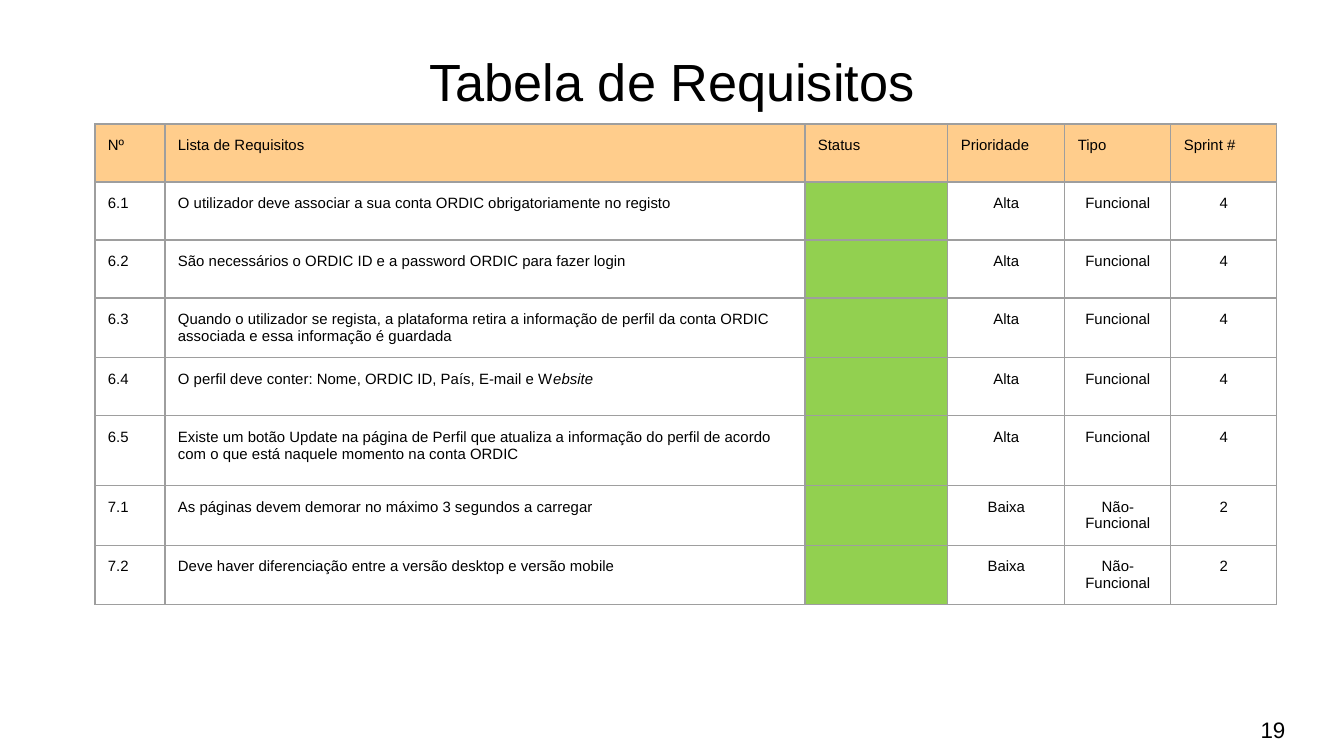
"""Build the requirements table slide."""
from typing import NamedTuple

from lxml.etree import SubElement
from pptx import Presentation
from pptx.dml.color import RGBColor
from pptx.enum.text import MSO_ANCHOR as Anchor, PP_ALIGN as Align
from pptx.oxml.ns import qn
from pptx.util import Emu, Pt

PX_PER_INCH = 134.4
FONT = "Arial"
BLACK, WHITE = "000000", "FFFFFF"
ORANGE, GREEN, GRAY = "FFCD8C", "92D050", "9E9E9E"
HEADERS = ("Nº", "Lista de Requisitos", "Status", "Prioridade", "Tipo", "Sprint #")
COL_WIDTHS = (70, 640, 143, 117, 106, 106)
ROW_HEIGHT = 58
STATUS_COL = 2


class Requirement(NamedTuple):
    """One row of the table."""
    number: str
    text: str
    priority: str = "Alta"
    kind: str = "Funcional"
    sprint: str = "4"
    italic_end: str = ""
    height: int = ROW_HEIGHT


REQUIREMENTS = (
    Requirement("6.1", "O utilizador deve associar a sua conta ORDIC obrigatoriamente no registo"),
    Requirement("6.2", "São necessários o ORDIC ID e a password ORDIC para fazer login"),
    Requirement("6.3", "Quando o utilizador se regista, a plataforma retira a informação de perfil "
                       "da conta ORDIC associada e essa informação é guardada"),
    Requirement("6.4", "O perfil deve conter: Nome, ORDIC ID, País, E-mail e W", italic_end="ebsite"),
    Requirement("6.5", "Existe um botão Update na página de Perfil que atualiza a informação do perfil "
                       "de acordo com o que está naquele momento na conta ORDIC", height=70),
    Requirement("7.1", "As páginas devem demorar no máximo 3 segundos a carregar",
                "Baixa", "Não-Funcional", "2"),
    Requirement("7.2", "Deve haver diferenciação entre a versão desktop e versão mobile",
                "Baixa", "Não-Funcional", "2"),
)


def px(n: int) -> Emu:
    """Turn pixels into EMU."""
    return Emu(round(n * 914400 / PX_PER_INCH))


def rgb(color: str) -> RGBColor:
    """Turn a hex string into a colour."""
    return RGBColor.from_string(color)


def write(tf, text: str, size: int, align=Align.CENTER):
    """Write one formatted paragraph and return it."""
    p = tf.paragraphs[0]
    if text:
        p.add_run().text = text
    p.alignment = align
    p.font.size = Pt(size)
    p.font.name = FONT
    p.font.bold = False
    p.font.color.rgb = rgb(BLACK)
    return p


def add_borders(cell) -> None:
    """Draw a thin line on each side of a cell."""
    props = cell._tc.get_or_add_tcPr()
    for i, side in enumerate(("lnL", "lnR", "lnT", "lnB")):
        line = SubElement(props, qn(f"a:{side}"), w=str(Pt(0.75)))
        fill = SubElement(line, qn("a:solidFill"))
        SubElement(fill, qn("a:srgbClr"), val=GRAY)
        props.insert(i, line)


def fill_cell(cell, text: str, fill: str, align, italic_end: str = "") -> None:
    """Fill, border and write one cell."""
    cell.fill.solid()
    cell.fill.fore_color.rgb = rgb(fill)
    add_borders(cell)
    cell.margin_left = cell.margin_right = px(13)
    cell.margin_top = cell.margin_bottom = px(13)
    p = write(cell.text_frame, text, 8, align)
    if italic_end:
        r = p.add_run()
        r.text = italic_end
        r.font.italic = True


def add_title(s, text: str) -> None:
    """Place and format the title."""
    sp = s.shapes.title
    sp.left, sp.top, sp.width, sp.height = px(46), px(32), px(1252), px(85)
    tf = sp.text_frame
    tf.margin_top, tf.margin_bottom = px(13), 0
    tf.vertical_anchor = Anchor.MIDDLE
    write(tf, text, 28)


def add_requirements(s) -> None:
    """Draw the table of requirements."""
    heights = [ROW_HEIGHT] + [req.height for req in REQUIREMENTS]
    table = s.shapes.add_table(len(heights), len(COL_WIDTHS), px(95), px(124),
                               px(sum(COL_WIDTHS)), px(sum(heights))).table
    table.first_row = table.horz_banding = False
    for column, width in zip(table.columns, COL_WIDTHS):
        column.width = px(width)
    for row, height in zip(table.rows, heights):
        row.height = px(height)
    for col, header in enumerate(HEADERS):
        fill_cell(table.cell(0, col), header, ORANGE, Align.LEFT)
    for row, req in enumerate(REQUIREMENTS, 1):
        texts = (req.number, req.text, "", req.priority, req.kind, req.sprint)
        for col, text in enumerate(texts):
            fill_cell(table.cell(row, col), text,
                      GREEN if col == STATUS_COL else WHITE,
                      Align.LEFT if col < STATUS_COL else Align.CENTER,
                      req.italic_end if col == 1 else "")


def add_page_number(s, text: str) -> None:
    """Write the page number in the corner."""
    tf = s.shapes.add_textbox(px(1222), px(710), px(102), px(40)).text_frame
    tf.word_wrap = True
    write(tf, text, 12)


def main() -> None:
    """Build and save the slide."""
    prs = Presentation()
    prs.slide_width, prs.slide_height = px(1344), px(756)
    s = prs.slides.add_slide(prs.slide_layouts[5])
    add_title(s, "Tabela de Requisitos")
    add_requirements(s)
    add_page_number(s, "19")
    prs.save("out.pptx")


if __name__ == "__main__":
    main()
